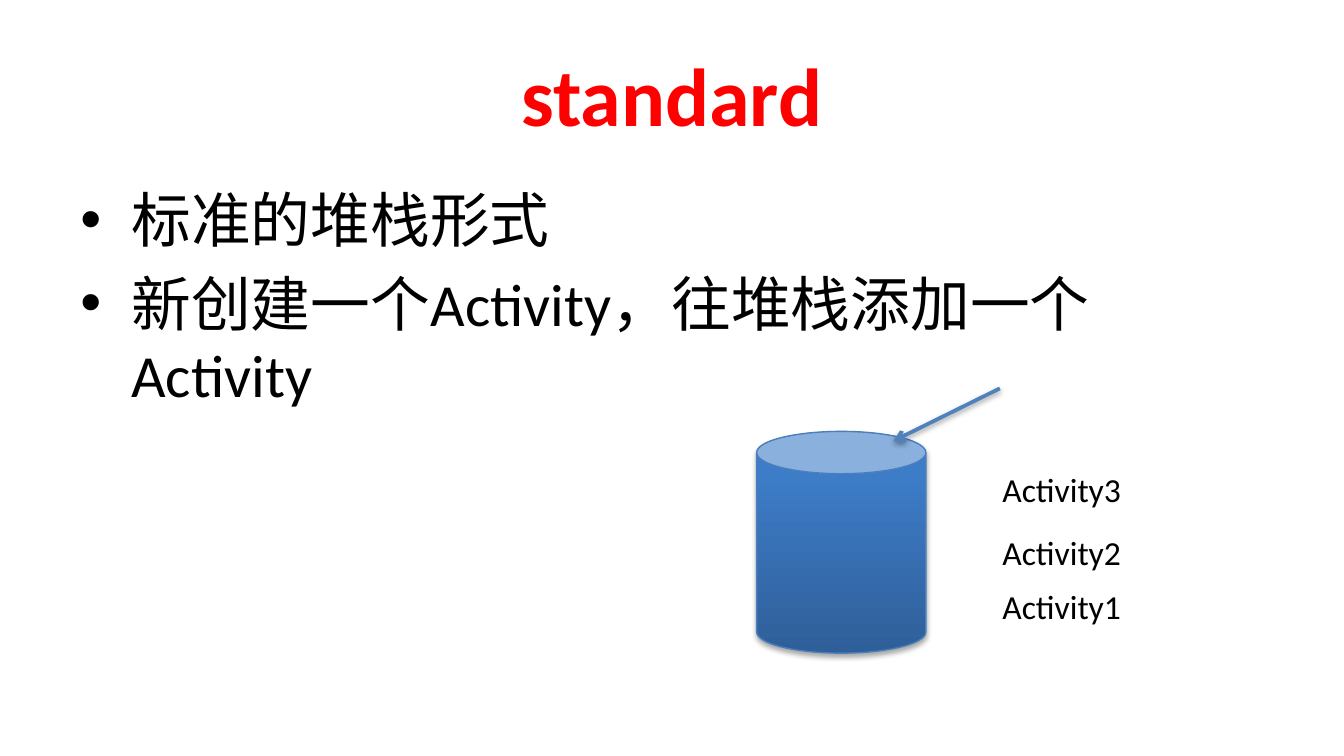
from pptx import Presentation
from pptx.dml.color import RGBColor
from pptx.enum.shapes import MSO_CONNECTOR as Connector, MSO_SHAPE as Shape
from pptx.enum.text import MSO_ANCHOR as Anchor, MSO_AUTO_SIZE as AutoSize, PP_ALIGN as Align
from pptx.oxml import parse_xml
from pptx.oxml.ns import nsdecls
from pptx.util import Inches, Pt

FONT = "Calibri"
BLACK = RGBColor(0x00, 0x00, 0x00)
RED = RGBColor(0xFF, 0x00, 0x00)
CAN_DARK = RGBColor(0x2F, 0x5F, 0x99)
CAN_LIGHT = RGBColor(0x3D, 0x7C, 0xC7)
CAN_LINE = RGBColor(0x4B, 0x7E, 0xBC)
ARROW_BLUE = RGBColor(0x4F, 0x81, 0xBD)


def write_text(para, text, size=18, color=BLACK, bold=False):
    span = para.add_run()
    span.text = text
    font = span.font
    font.name, font.size, font.bold = FONT, Pt(size), bold
    font.color.rgb = color


def add_title(page, text):
    title = page.shapes.title
    title.left, title.top = Inches(0.5), Inches(0.23)
    title.width, title.height = Inches(9), Inches(0.94)
    title.text_frame.vertical_anchor = Anchor.MIDDLE
    para = title.text_frame.paragraphs[0]
    para.alignment = Align.CENTER
    write_text(para, text, size=44, color=RED, bold=True)


def add_box(page, left, top, width, height):
    box = page.shapes.add_textbox(Inches(left), Inches(top), Inches(width), Inches(height))
    box.text_frame.word_wrap = True
    return box.text_frame


def add_bullets(page, lines):
    frame = add_box(page, 0.5, 1.31, 9, 3.71)
    for index, line in enumerate(lines):
        para = frame.add_paragraph() if index else frame.paragraphs[0]
        para.space_before = Pt(6.4)
        write_text(para, line, size=32)
        properties = para._p.get_or_add_pPr()
        properties.set("marL", str(Inches(0.38)))
        properties.set("indent", str(-Inches(0.38)))
        properties.append(parse_xml(f'<a:buFont {nsdecls("a")} typeface="Arial"/>'))
        properties.append(parse_xml(f'<a:buChar {nsdecls("a")} char="•"/>'))


def add_label(page, text, top):
    frame = add_box(page, 7.36, top, 1.57, 0.4)
    frame.auto_size = AutoSize.SHAPE_TO_FIT_TEXT
    write_text(frame.paragraphs[0], text)


def add_shadow(item, opacity, distance):
    """Drop a shadow straight down; call after the line is set."""
    item._element.spPr.append(parse_xml(
        f'<a:effectLst {nsdecls("a")}>'
        f'<a:outerShdw blurRad="{Pt(3.1)}" dist="{Pt(distance)}" dir="5400000" rotWithShape="0">'
        f'<a:srgbClr val="{BLACK}"><a:alpha val="{opacity * 1000}"/></a:srgbClr>'
        '</a:outerShdw></a:effectLst>'))


def add_stack_can(page):
    can = page.shapes.add_shape(Shape.CAN, Inches(5.63), Inches(3.21), Inches(1.26), Inches(1.65))
    can.fill.gradient()
    can.fill.gradient_angle = 90
    stops = ((0, CAN_DARK), (0.8, CAN_LIGHT))
    for stop, (position, color) in zip(can.fill.gradient_stops, stops):
        stop.position = position
        stop.color.rgb = color
    can.line.color.rgb = CAN_LINE
    can.line.width = Pt(0.75)
    add_shadow(can, opacity=35, distance=1.8)


def add_push_arrow(page):
    arrow = page.shapes.add_connector(
        Connector.STRAIGHT, Inches(7.44), Inches(2.89), Inches(6.65), Inches(3.28))
    arrow.line.color.rgb = ARROW_BLUE
    arrow.line.width = Pt(2)
    arrow.line._get_or_add_ln().append(parse_xml(f'<a:tailEnd {nsdecls("a")} type="arrow"/>'))
    add_shadow(arrow, opacity=38, distance=1.6)


def main():
    deck = Presentation()
    deck.slide_width = Inches(10)
    deck.slide_height = deck.slide_width * 9 // 16
    page = deck.slides.add_slide(deck.slide_layouts[5])
    add_title(page, "standard")
    add_bullets(page, ["标准的堆栈形式", "新创建一个Activity，往堆栈添加一个Activity"])
    add_stack_can(page)
    add_push_arrow(page)
    for number, top in enumerate((4.31, 3.91, 3.44), start=1):
        add_label(page, f"Activity{number}", top)
    deck.save("out.pptx")


if __name__ == "__main__":
    main()
